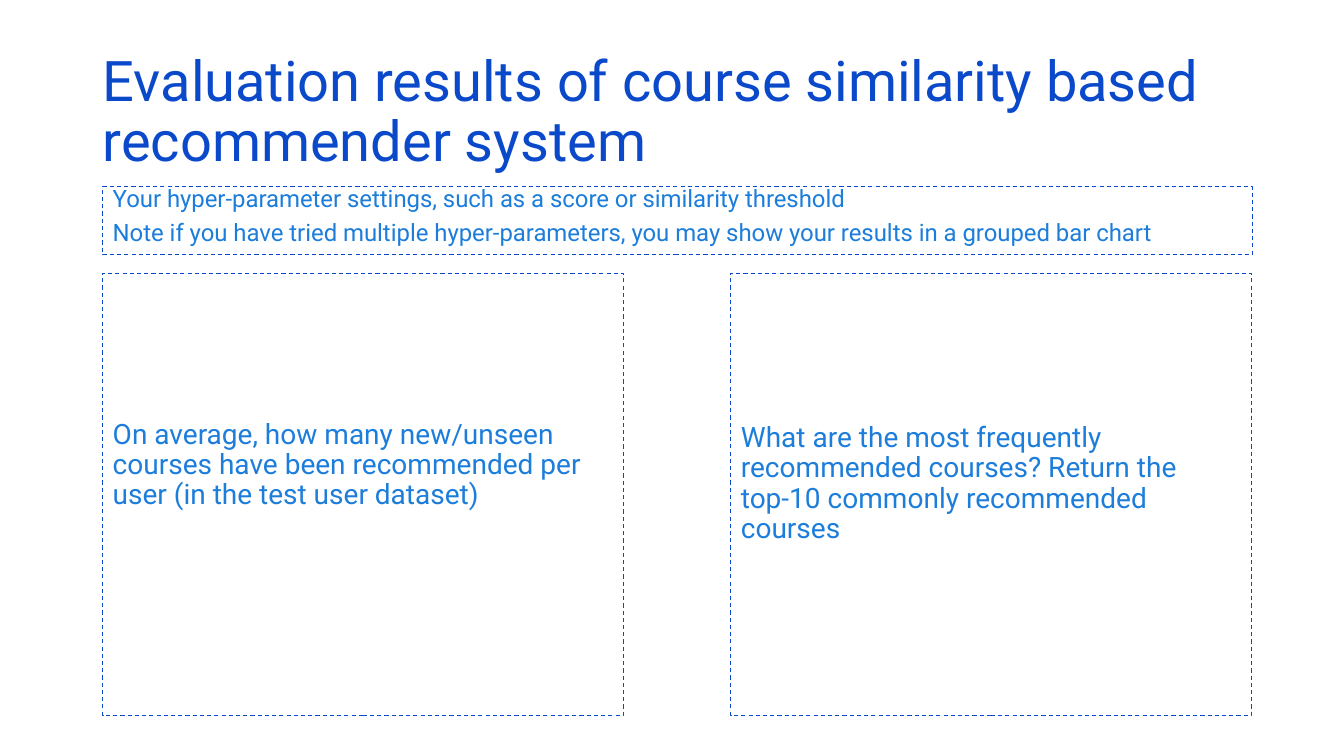
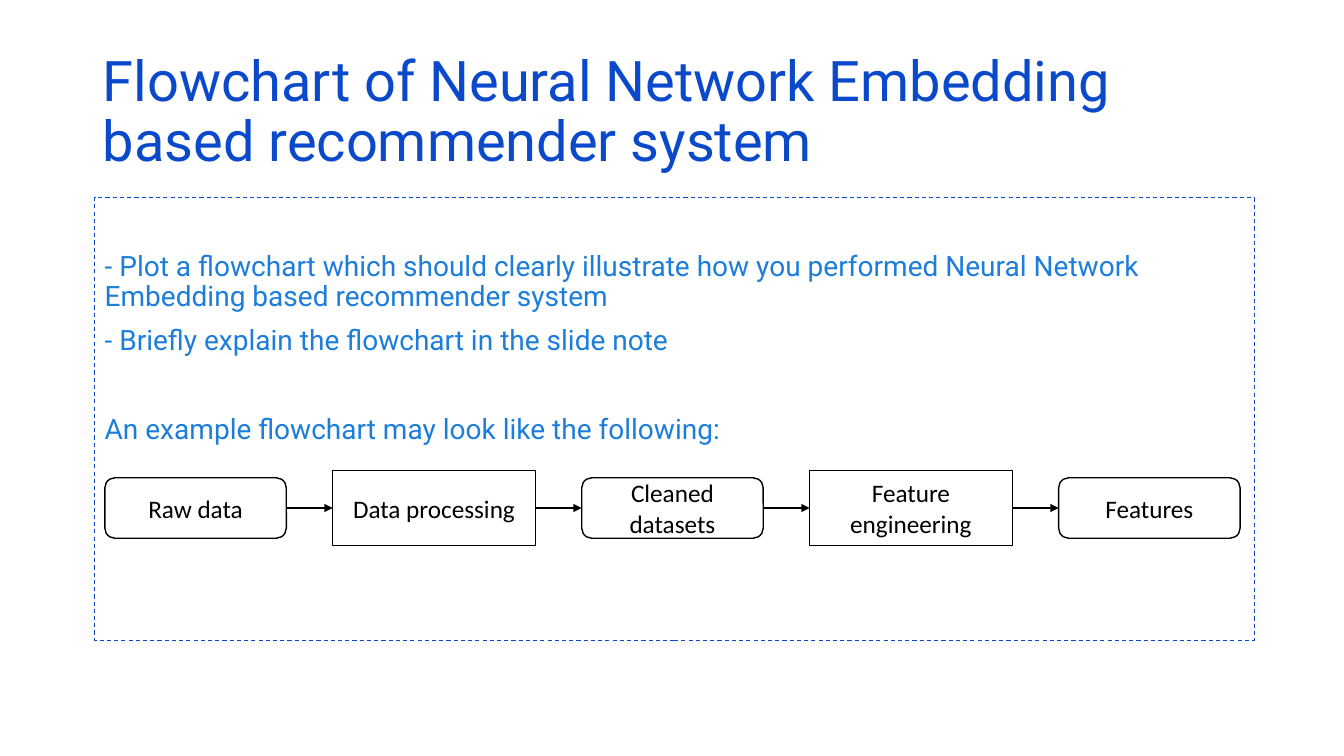
from pptx import Presentation
from pptx.dml.color import RGBColor
from pptx.enum.dml import MSO_LINE
from pptx.enum.shapes import MSO_CONNECTOR, MSO_SHAPE
from pptx.enum.text import MSO_ANCHOR, MSO_AUTO_SIZE, PP_ALIGN
from pptx.oxml.ns import qn
from pptx.util import Inches, Pt
from lxml import etree

RECT, ROUNDED = MSO_SHAPE.RECTANGLE, MSO_SHAPE.ROUNDED_RECTANGLE
STRAIGHT, DASH = MSO_CONNECTOR.STRAIGHT, MSO_LINE.DASH
TOP, MIDDLE = MSO_ANCHOR.TOP, MSO_ANCHOR.MIDDLE
LEFT, CENTER = PP_ALIGN.LEFT, PP_ALIGN.CENTER
LEFT_SITE, RIGHT_SITE = 1, 3

COLORS = {"title": "0B49CB", "body": "1C7DDB", "ink": "000000", "paper": "FFFFFF"}
HEADING_FONT, FLOW_FONT = "Roboto", "Calibri"
TITLE_BOX = (0.92, 0.4, 11.5, 1.45)

# Content: each panel has a box, a top inset in inches, and its paragraphs
SLIDES = [
    {
        "title": "Evaluation results of course similarity based recommender system",
        "panels": [
            {"box": (7.25, 2.71, 5.16, 4.39), "inset": 1.49, "lines": [
                "What are the most frequently recommended courses? "
                "Return the top-10 commonly recommended courses"]},
            {"box": (1.02, 2.71, 5.16, 4.39), "inset": 1.46, "lines": [
                "On average, how many new/unseen courses have been "
                "recommended per user (in the test user dataset)"]},
            {"box": (1.02, 1.85, 11.4, 0.68), "size": 17.1, "spacing": 0.7, "lines": [
                "Your hyper-parameter settings, such as a score or similarity threshold",
                "Note if you have tried multiple hyper-parameters, "
                "you may show your results in a grouped bar chart"]},
        ],
        "flow": [],
    },
    {
        "title": "Flowchart of Neural Network Embedding based recommender system",
        "panels": [
            {"box": (0.94, 1.96, 11.5, 4.39), "inset": 0.54, "last_gap": 42, "lines": [
                "- Plot a flowchart which should clearly illustrate how you "
                "performed Neural Network Embedding based recommender system",
                "- Briefly explain the flowchart in the slide note",
                "An example flowchart may look like the following:"]},
        ],
        "flow": [("Raw data", "data"), ("Data processing", "process"),
                 ("Cleaned datasets", "data"), ("Feature engineering", "process"),
                 ("Features", "data")],
    },
]

# Flowchart rules: shape, width, height and fill for each kind of step
STEP_STYLES = {"data": (ROUNDED, 1.8, 0.6, None),
               "process": (RECT, 2.01, 0.74, "paper")}
FLOW_LEFT, FLOW_MIDDLE, FLOW_GAP = 1.04, 5.04, 0.46


def color(name):
    return RGBColor.from_string(COLORS[name])


def format_text(frame, font, size, ink, align, anchor, spacing=None):
    frame.word_wrap = True
    frame.auto_size = MSO_AUTO_SIZE.NONE
    frame.vertical_anchor = anchor
    for para in frame.paragraphs:
        para.alignment = align
        para.line_spacing = spacing
        for span in para.runs:
            span.font.name = font
            span.font.size = Pt(size)
            span.font.color.rgb = color(ink)


def add_box(page, kind, box, line_color, line_width, fill=None):
    shape = page.shapes.add_shape(kind, *map(Inches, box))
    shape.shadow.inherit = False
    if fill:
        shape.fill.solid()
        shape.fill.fore_color.rgb = color(fill)
    else:
        shape.fill.background()
    shape.line.color.rgb = color(line_color)
    shape.line.width = Pt(line_width)
    return shape


def add_title(page, text):
    title = page.shapes.title
    title.left, title.top, title.width, title.height = map(Inches, TITLE_BOX)
    title.text_frame.text = text
    format_text(title.text_frame, HEADING_FONT, 40, "title", LEFT, MIDDLE, 0.9)


def add_panel(page, panel):
    shape = add_box(page, RECT, panel["box"], "title", 0.75)
    shape.line.dash_style = DASH
    frame = shape.text_frame
    frame.text = "\n".join(panel["lines"])
    frame.margin_top = Inches(panel.get("inset", 0.05))
    format_text(frame, HEADING_FONT, panel.get("size", 20), "body", LEFT, TOP,
                panel.get("spacing", 0.9))
    for para in frame.paragraphs[1:]:
        para.space_before = Pt(10)
    if "last_gap" in panel:
        frame.paragraphs[-1].space_before = Pt(panel["last_gap"])


def add_arrow(page, source, target):
    arrow = page.shapes.add_connector(STRAIGHT, 0, 0, 0, 0)
    arrow.begin_connect(source, RIGHT_SITE)
    arrow.end_connect(target, LEFT_SITE)
    arrow.line.color.rgb = color("ink")
    arrow.line.width = Pt(1.25)
    etree.SubElement(arrow.line._get_or_add_ln(), qn("a:tailEnd"), type="triangle")
    etree.SubElement(arrow._element.spPr, qn("a:effectLst"))


def add_flow(page, steps):
    left, previous = FLOW_LEFT, None
    for label, style in steps:
        kind, width, height, fill = STEP_STYLES[style]
        box = (left, FLOW_MIDDLE - height / 2, width, height)
        step = add_box(page, kind, box, "ink", 1, fill)
        step.text_frame.text = label
        format_text(step.text_frame, FLOW_FONT, 18, "ink", CENTER, MIDDLE)
        if previous is not None:
            add_arrow(page, previous, step)
        left, previous = left + width + FLOW_GAP, step


def main():
    deck = Presentation()
    deck.slide_width, deck.slide_height = Inches(13.33), Inches(7.5)
    title_only = deck.slide_layouts[5]
    for content in SLIDES:
        page = deck.slides.add_slide(title_only)
        add_title(page, content["title"])
        for panel in content["panels"]:
            add_panel(page, panel)
        add_flow(page, content["flow"])
    deck.save("out.pptx")


if __name__ == "__main__":
    main()
